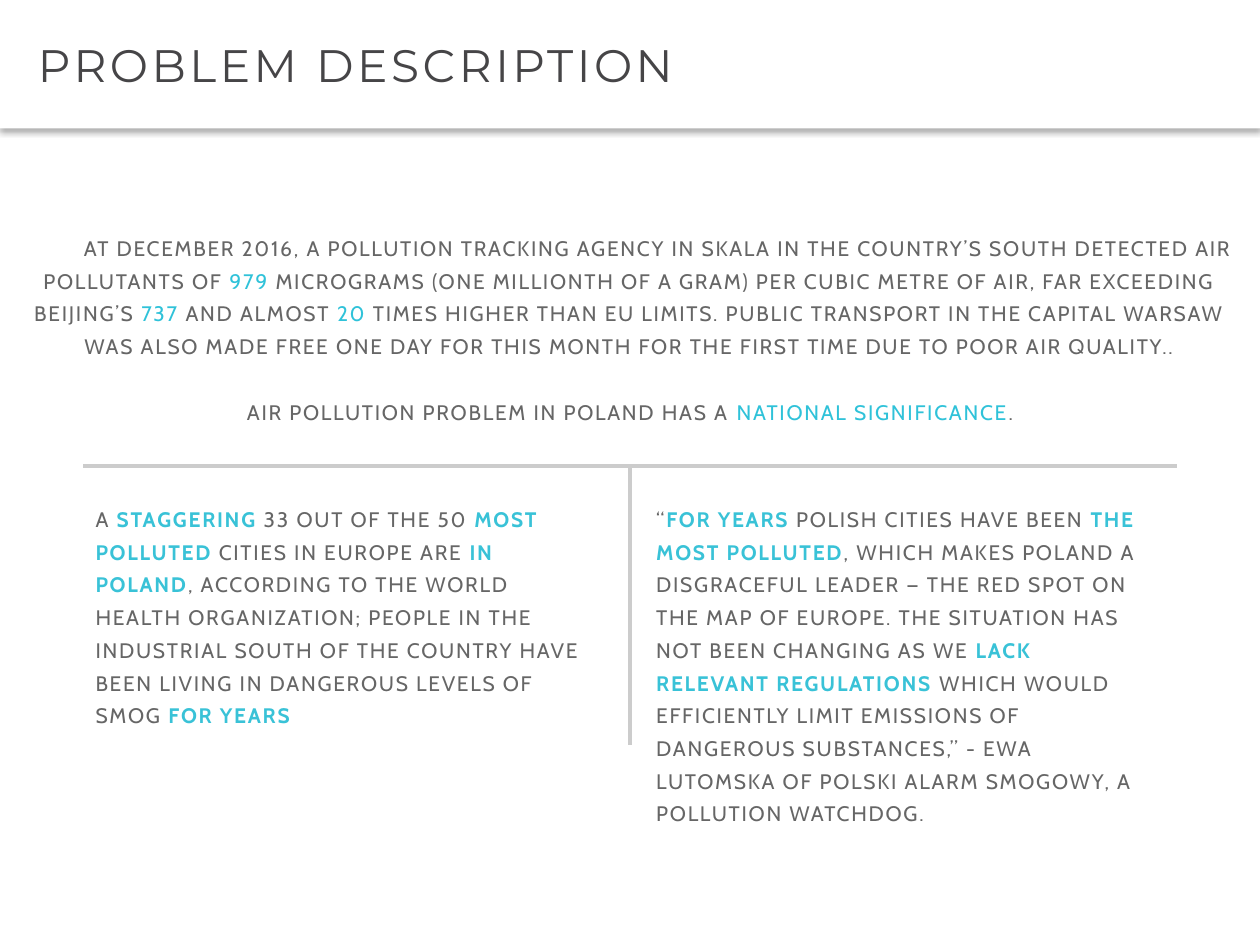
from lxml.etree import SubElement as Sub
from pptx import Presentation
from pptx.dml.color import RGBColor
from pptx.enum.shapes import MSO_CONNECTOR as Conn
from pptx.enum.text import MSO_ANCHOR as Anchor, MSO_AUTO_SIZE as Fit, PP_ALIGN as Align
from pptx.oxml.ns import qn
from pptx.util import Inches, Pt

WHITE = RGBColor(0xFF, 0xFF, 0xFF)
DARK = RGBColor(0x46, 0x45, 0x47)
GREY = RGBColor(0x66, 0x66, 0x66)
RULE = RGBColor(0xCC, 0xCC, 0xCC)
CYAN = RGBColor(0x2F, 0xC2, 0xD9)
TEAL = RGBColor(0x39, 0xC2, 0xD7)

# Words between asterisks are highlighted.
INTRO = [
    "AT DECEMBER 2016, A POLLUTION TRACKING AGENCY IN SKALA IN THE COUNTRY’S SOUTH "
    "DETECTED AIR POLLUTANTS OF *979* MICROGRAMS (ONE MILLIONTH OF A GRAM) PER CUBIC "
    "METRE OF AIR, FAR EXCEEDING BEIJING’S *737* AND ALMOST *20* TIMES HIGHER THAN EU "
    "LIMITS. PUBLIC TRANSPORT IN THE CAPITAL WARSAW WAS ALSO MADE FREE ONE DAY FOR "
    "THIS MONTH FOR THE FIRST TIME DUE TO POOR AIR QUALITY..",
    "AIR POLLUTION PROBLEM IN POLAND HAS A *NATIONAL SIGNIFICANCE*.",
]
FACTS = [
    "A *STAGGERING* 33 OUT OF THE 50 *MOST POLLUTED* CITIES IN EUROPE ARE *IN POLAND*, "
    "ACCORDING TO THE WORLD HEALTH ORGANIZATION; PEOPLE IN THE INDUSTRIAL SOUTH OF THE "
    "COUNTRY HAVE BEEN LIVING IN DANGEROUS LEVELS OF SMOG *FOR YEARS*",
]
QUOTE = [
    "“*FOR YEARS* POLISH CITIES HAVE BEEN *THE MOST POLLUTED*, WHICH MAKES POLAND A "
    "DISGRACEFUL LEADER — THE RED SPOT ON THE MAP OF EUROPE. THE SITUATION HAS NOT BEEN "
    "CHANGING AS WE *LACK RELEVANT REGULATIONS* WHICH WOULD EFFICIENTLY LIMIT EMISSIONS "
    "OF DANGEROUS SUBSTANCES,” - EWA LUTOMSKA OF POLSKI ALARM SMOGOWY, A POLLUTION "
    "WATCHDOG.",
]


def write(para, text, size=12, face="Cabin", color=GREY, accent=TEAL, bold=True,
          track=1, lines=1.3, align=Align.LEFT):
    """Fill a paragraph, highlighting the parts between asterisks."""
    para.alignment, para.line_spacing = align, lines
    for i, part in enumerate(text.split("*")):
        if not part:
            continue
        mark = i % 2 == 1
        run = para.add_run()
        run.text = part
        font = run.font
        font.size, font.name = Pt(size), face
        font.bold = mark and bold
        font.color.rgb = accent if mark else color
        font._element.set("spc", str(track * 100))


def add_text(slide, x, y, w, h, paras, gap=18.7, **form):
    box = slide.shapes.add_textbox(Inches(x), Inches(y), Inches(w), Inches(h))
    frame = box.text_frame
    frame.word_wrap, frame.auto_size = True, Fit.NONE
    for i, text in enumerate(paras):
        para = frame.add_paragraph() if i else frame.paragraphs[0]
        if i:
            para.space_before = Pt(gap)
        write(para, text, **form)
    return box


def add_rule(slide, x1, y1, x2, y2):
    rule = slide.shapes.add_connector(
        Conn.STRAIGHT, Inches(x1), Inches(y1), Inches(x2), Inches(y2))
    rule.line.color.rgb, rule.line.width = RULE, Pt(2)
    Sub(rule._element.spPr, qn("a:effectLst"))
    return rule


def add_shadow(shape):
    effects = Sub(shape._element.spPr, qn("a:effectLst"))
    shadow = Sub(effects, qn("a:outerShdw"), blurRad=str(Pt(3.1)), dist=str(Pt(2)),
                 dir="5400000", algn="t", rotWithShape="0")
    black = Sub(shadow, qn("a:srgbClr"), val="000000")
    Sub(black, qn("a:alpha"), val="30000")


def set_title(slide, text):
    bar = slide.shapes.title
    bar.left, bar.top, bar.width, bar.height = 0, 0, Inches(10), Inches(1.02)
    bar.fill.solid()
    bar.fill.fore_color.rgb = WHITE
    bar.line.fill.background()
    add_shadow(bar)
    frame = bar.text_frame
    frame.word_wrap, frame.auto_size = True, Fit.NONE
    frame.vertical_anchor = Anchor.MIDDLE
    frame.margin_left, frame.margin_right = Inches(0.3), Inches(0.07)
    frame.margin_top = frame.margin_bottom = Inches(0.04)
    write(frame.paragraphs[0], text, size=26, face="Montserrat", color=DARK,
          track=2, lines=1.0)


def main():
    deck = Presentation()
    deck.slide_width, deck.slide_height = Inches(10), Inches(7.5)
    slide = deck.slides.add_slide(deck.slide_layouts[5])
    set_title(slide, "PROBLEM DESCRIPTION")

    intro = add_text(slide, 0, 1.76, 10, 1.94, INTRO, accent=CYAN, bold=False,
                     align=Align.CENTER)
    first = intro.text_frame.paragraphs[0]._p.get_or_add_pPr()
    first.set("indent", str(Inches(0.46)))

    add_rule(slide, 0.66, 3.7, 9.34, 3.7)
    split = add_rule(slide, 5, 3.7, 5, 5.91)
    split.begin_connect(intro, 2)

    add_text(slide, 0.66, 3.91, 4.12, 1.94, FACTS)
    add_text(slide, 5.11, 3.91, 4.12, 2.46, QUOTE)
    deck.save("out.pptx")


if __name__ == "__main__":
    main()
